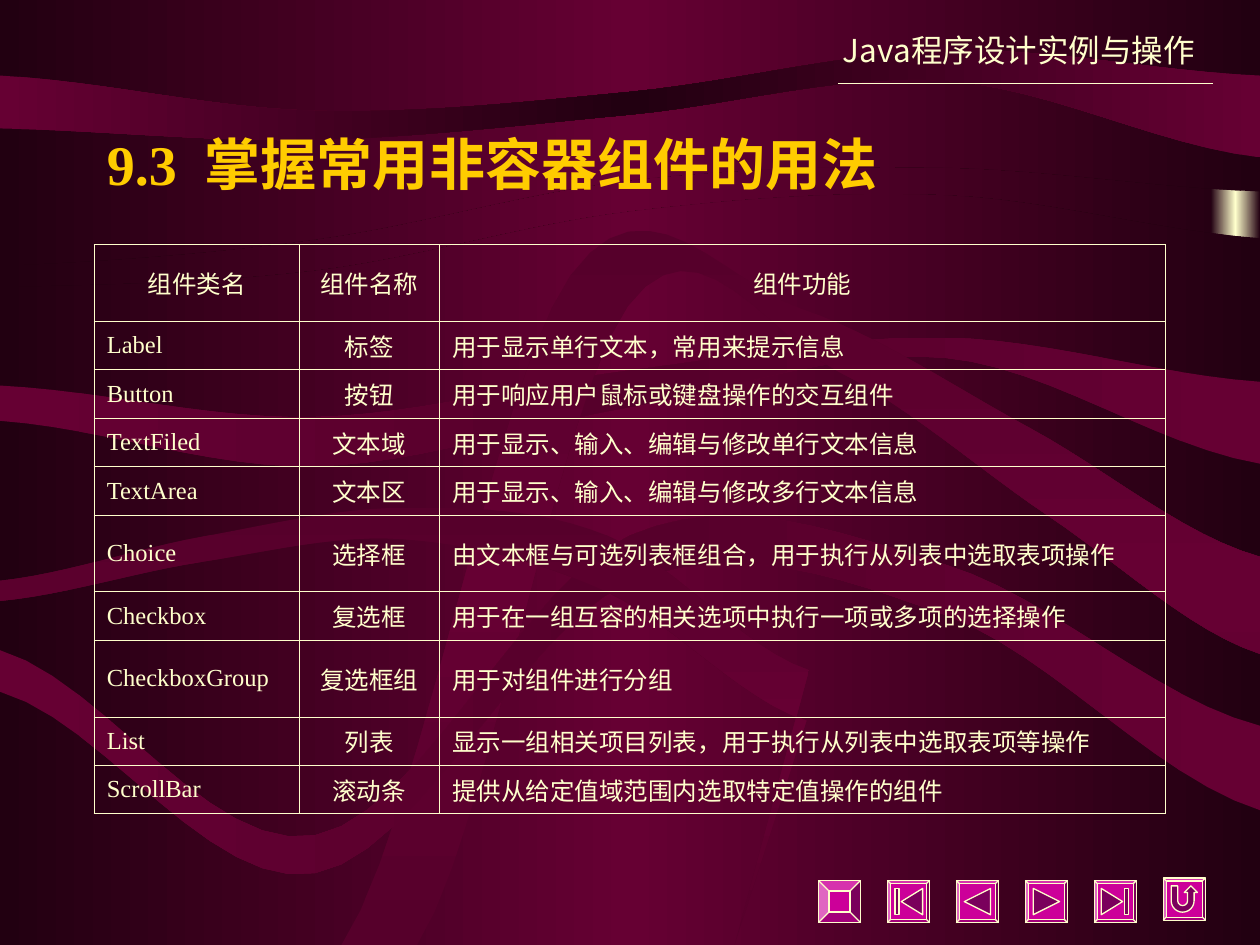
"""Build the slide that lists the common non-container components."""
import copy
import dataclasses

import pptx
import pptx.dml.color
import pptx.enum.shapes
import pptx.enum.text
import pptx.oxml
import pptx.oxml.ns
import pptx.util

Cm, Pt = pptx.util.Cm, pptx.util.Pt
Rgb = pptx.dml.color.RGBColor.from_string
ALIGN = pptx.enum.text.PP_ALIGN
MIDDLE = pptx.enum.text.MSO_ANCHOR.MIDDLE
SHAPE = pptx.enum.shapes.MSO_SHAPE


@dataclasses.dataclass(frozen=True)
class Theme:
    night: str = "220011"
    wine: str = "660033"
    shade: str = "56002B"
    cream: str = "FFFFCC"
    gold: str = "FFCC00"
    button: str = "CC0099"
    icon: str = "7A005C"
    latin: str = "Times New Roman"
    asian: str = "Noto Sans CJK SC"
    title_size: int = 32
    header_size: int = 18
    table_size: int = 14
    outer_line: float = 0.75
    inner_line: float = 0.45


theme = Theme()


def write_text(frame, text, *, size, color=theme.cream, font=theme.latin,
               bold=False, align=ALIGN.LEFT):
    frame.word_wrap = True
    paragraph = frame.paragraphs[0]
    paragraph.alignment = align
    run = paragraph.add_run()
    run.text = text
    run.font.size = Pt(size)
    run.font.bold = bold
    run.font.name = font
    run.font.color.rgb = Rgb(color)
    asian = run.font._element.makeelement(pptx.oxml.ns.qn("a:ea"), {"typeface": theme.asian})
    run.font._element.append(asian)


def set_gradient(fill, element, edge, middle, angle=0):
    fill.gradient()
    fill.gradient_angle = angle
    stop_list = element.xpath(".//a:gsLst")[0]
    stop_list.append(copy.deepcopy(stop_list[0]))
    for stop, color, position in zip(fill.gradient_stops, (edge, middle, edge), (0, 0.5, 1)):
        stop.color.rgb = Rgb(color)
        stop.position = position


presentation = pptx.Presentation()
presentation.slide_width, presentation.slide_height = Cm(25.4), Cm(19.05)
slide = presentation.slides.add_slide(presentation.slide_layouts[5])
shapes = slide.shapes
set_gradient(slide.background.fill, slide.element, theme.night, theme.wine)

glow = shapes.add_shape(SHAPE.RECTANGLE, Cm(24.41), Cm(1.24), Cm(0.99), Cm(8.76))
glow.shadow.inherit = False
glow.line.fill.background()
set_gradient(glow.fill, glow.element, theme.night, theme.cream)

# Each edge has a start and end across and equally spaced heights, in hundredths of an inch.
UNIT = Cm(0.0254)
CURVE_STEPS = 12
FULL = (0, 1000)
ribbons = [
    (theme.night, theme.wine, 0, FULL, (0, 0), FULL, (211, 190, 143, 133, 152), []),
    (theme.night, theme.wine, 0, FULL, (228, 215, 168, 155, 189), FULL, (750, 750), []),
    (theme.wine, theme.night, 0, FULL, (60, 88, 73, 40, 60),
     FULL, (102, 111, 91, 64, 125), []),
    (theme.wine, theme.shade, 0, FULL, (306, 331, 294, 268, 303),
     FULL, (334, 370, 323, 284, 368), []),
    (theme.shade, theme.wine, 90, (271, 1000), (750, 218, 245, 340, 442),
     (331, 1000), (750, 243, 295, 410, 519), []),
    (theme.wine, theme.shade, 0, FULL, (516, 663, 425, 448, 576),
     FULL, (549, 693, 462, 488, 643), []),
    (theme.shade, theme.wine, 90, (0, 642), (461, 426, 403, 425, 532),
     (0, 640), (477, 446, 428, 469, 572), [(583, 750)]),
]
for edge, middle, angle, top_span, top_heights, bottom_span, bottom_heights, tail in ribbons:
    edges = []
    for (start, end), heights in ((top_span, top_heights), (bottom_span, bottom_heights)):
        padded = (heights[0], *heights, heights[-1])
        step_count = (len(heights) - 1) * CURVE_STEPS
        points = []
        for step in range(step_count):
            section, t = step // CURVE_STEPS, step % CURVE_STEPS / CURVE_STEPS
            before, first, second, after = padded[section:section + 4]
            bend = (2 * before - 5 * first + 4 * second - after) * t ** 2
            twist = (3 * first - before - 3 * second + after) * t ** 3
            height = first + ((second - before) * t + bend + twist) / 2
            points.append((start + (end - start) * step / step_count, height))
        edges.append(points + [(end, heights[-1])])
    upper, lower = edges
    outline = [(x * UNIT, y * UNIT) for x, y in lower + tail + upper[::-1]]
    builder = shapes.build_freeform(*outline[0])
    builder.add_line_segments(outline[1:])
    ribbon = builder.convert_to_shape()
    ribbon.shadow.inherit = False
    ribbon.line.fill.background()
    set_gradient(ribbon.fill, ribbon.element, edge, middle, angle)

BUTTON_SIZE, ICON_SIZE, BAR_WIDTH = 0.85, 0.53, 0.08
buttons = [
    ("blank", 0, 0), ("first", -90, -1), ("previous", -90, 0),
    ("next", 90, 0), ("last", 90, 1), ("return", 0, 0),
]
for index, (action, rotation, bar_side) in enumerate(buttons):
    left, top = 16.5 + 1.39 * index, 17.7 if action == "return" else 17.75
    middle_x, middle_y = left + BUTTON_SIZE / 2, top + BUTTON_SIZE / 2
    button = shapes.add_shape(SHAPE.BEVEL, Cm(left), Cm(top), Cm(BUTTON_SIZE), Cm(BUTTON_SIZE))
    button.adjustments[0] = 0.25 if action == "blank" else 0.07
    pieces = []
    if action == "return":
        pieces.append((SHAPE.U_TURN_ARROW, middle_x, ICON_SIZE, ICON_SIZE))
    elif action != "blank":
        length = ICON_SIZE - 0.1 * abs(bar_side)
        pieces.append((SHAPE.ISOSCELES_TRIANGLE, middle_x - 0.07 * bar_side, ICON_SIZE, length))
    if bar_side:
        pieces.append((SHAPE.RECTANGLE, middle_x + 0.23 * bar_side, BAR_WIDTH, ICON_SIZE))
    parts = [(button, theme.button)]
    for kind, center, width, height in pieces:
        icon = shapes.add_shape(kind, Cm(center - width / 2), Cm(middle_y - height / 2),
                                Cm(width), Cm(height))
        if kind == SHAPE.ISOSCELES_TRIANGLE:
            icon.rotation = rotation
        elif kind == SHAPE.U_TURN_ARROW:
            icon.adjustments[4] = 1
            icon.element.spPr.xfrm.set("flipV", "1")
        parts.append((icon, theme.icon))
    for part, color in parts:
        part.shadow.inherit = False
        part.fill.solid()
        part.fill.fore_color.rgb = Rgb(color)
        part.line.color.rgb = Rgb(theme.cream)
        part.line.width = Pt(theme.outer_line)

rule = shapes.add_connector(pptx.enum.shapes.MSO_CONNECTOR.STRAIGHT,
                            Cm(16.89), Cm(1.68), Cm(24.46), Cm(1.68))
rule.line.color.rgb = Rgb(theme.cream)
rule.line.width = Pt(theme.outer_line)
rule.element.spPr.append(rule.element.makeelement(pptx.oxml.ns.qn("a:effectLst"), {}))

header = shapes.add_textbox(Cm(15.29), Cm(0.5), Cm(9.04), Cm(1.02))
write_text(header.text_frame, "Java程序设计实例与操作", size=theme.header_size,
           font=theme.asian, align=ALIGN.RIGHT)

title = shapes.title
title.left, title.top, title.width, title.height = Cm(1.9), Cm(1.7), Cm(21.6), Cm(3.18)
title.text_frame.vertical_anchor = MIDDLE
write_text(title.text_frame, "9.3  掌握常用非容器组件的用法", size=theme.title_size,
           color=theme.gold, bold=True)
shapes.element.append(title.element)

rows = [
    ("组件类名", "组件名称", "组件功能"),
    ("Label", "标签", "用于显示单行文本，常用来提示信息"),
    ("Button", "按钮", "用于响应用户鼠标或键盘操作的交互组件"),
    ("TextFiled", "文本域", "用于显示、输入、编辑与修改单行文本信息"),
    ("TextArea", "文本区", "用于显示、输入、编辑与修改多行文本信息"),
    ("Choice", "选择框", "由文本框与可选列表框组合，用于执行从列表中选取表项操作"),
    ("Checkbox", "复选框", "用于在一组互容的相关选项中执行一项或多项的选择操作"),
    ("CheckboxGroup", "复选框组", "用于对组件进行分组"),
    ("List", "列表", "显示一组相关项目列表，用于执行从列表中选取表项等操作"),
    ("ScrollBar", "滚动条", "提供从给定值域范围内选取特定值操作的组件"),
]
tall_rows = ("组件类名", "Choice", "CheckboxGroup")
column_widths = (4.13, 2.83, 14.63)
table = shapes.add_table(len(rows), len(column_widths), Cm(1.9), Cm(4.93),
                         Cm(sum(column_widths)), Cm(11.44)).table
table.first_row = table.horz_banding = False
for column, width in zip(table.columns, column_widths):
    column.width = Cm(width)
for row_index, texts in enumerate(rows):
    table.rows[row_index].height = Cm(1.55 if texts[0] in tall_rows else 0.97)
    for column_index, text in enumerate(texts):
        cell = table.cell(row_index, column_index)
        cell.vertical_anchor = MIDDLE
        cell.fill.background()
        centered = row_index == 0 or column_index == 1
        write_text(cell.text_frame, text, size=theme.table_size,
                   align=ALIGN.CENTER if centered else ALIGN.LEFT)
        outer_sides = {"L": column_index == 0, "R": column_index == len(texts) - 1,
                       "T": row_index == 0, "B": row_index == len(rows) - 1}
        for position, (side, is_outer) in enumerate(outer_sides.items()):
            width = Pt(theme.outer_line if is_outer else theme.inner_line)
            cell._tc.tcPr.insert(position, pptx.oxml.parse_xml(
                f'<a:ln{side} {pptx.oxml.ns.nsdecls("a")} w="{width}"><a:solidFill>'
                f'<a:srgbClr val="{theme.cream}"/></a:solidFill></a:ln{side}>'))

presentation.save("out.pptx")
